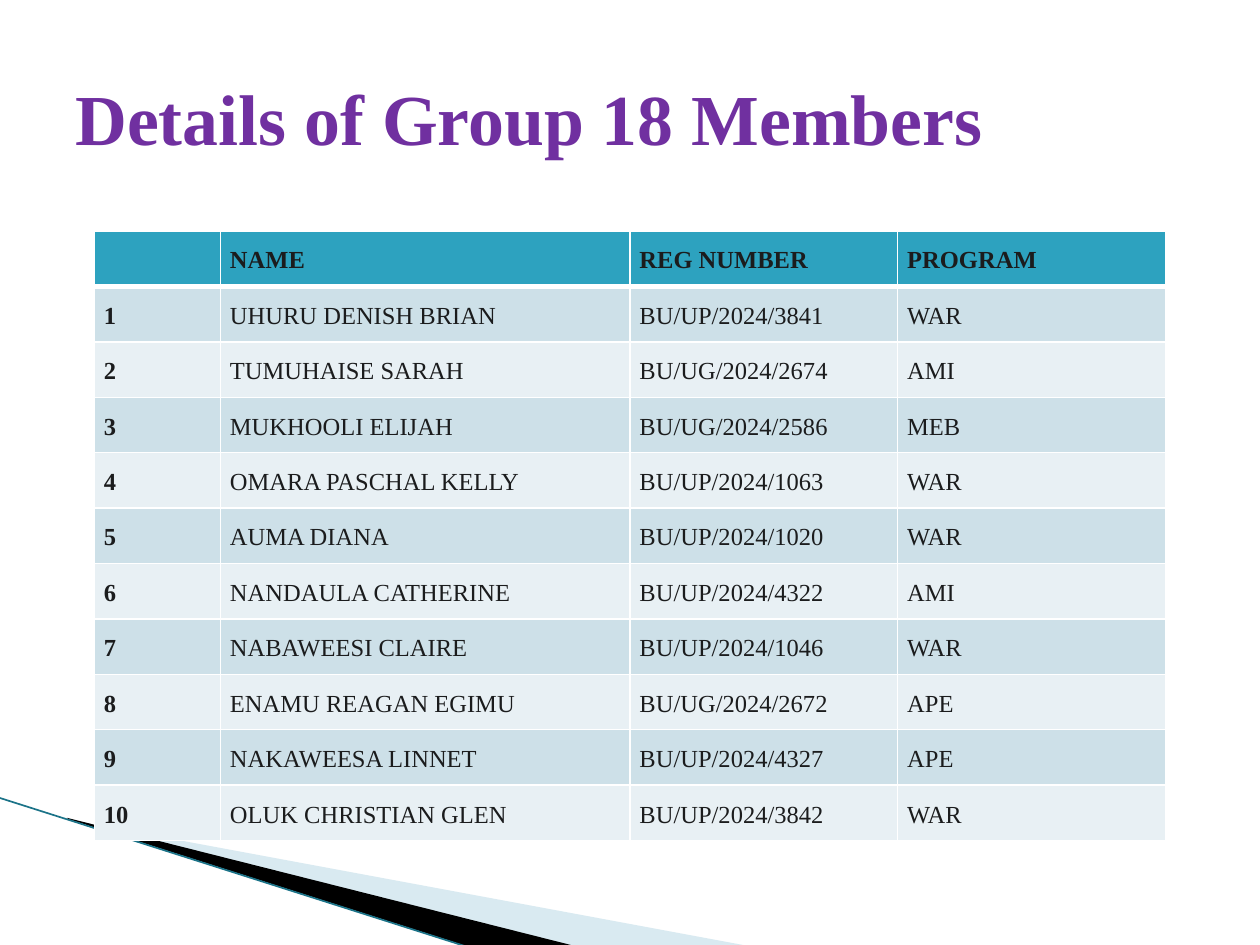
from dataclasses import dataclass

from lxml.etree import SubElement
from pptx import Presentation
from pptx.dml.color import RGBColor
from pptx.enum.shapes import MSO_CONNECTOR
from pptx.enum.text import MSO_ANCHOR
from pptx.oxml.ns import qn
from pptx.util import Pt

FONT = "Times New Roman"
HUES = {
    "title": "7030A0", "head": "2DA2BF", "odd": "CDE0E8", "even": "E8F0F4",
    "text": "1B1C1D", "rule": "FFFFFF", "pale": "A0CBDC", "dark": "000000",
    "edge": "1B7388",
}
HEADS = ("", "NAME", "REG NUMBER", "PROGRAM")
WIDTHS = (72, 234, 153, 153)
ROW = 31.68


@dataclass
class Member:
    name: str
    reg: str
    course: str


@dataclass
class Wedge:
    frame: tuple[float, float, float, float]
    points: list[tuple[float, float]]
    hue: str
    alpha: int = 100


MEMBERS = [
    Member("UHURU DENISH BRIAN", "BU/UP/2024/3841", "WAR"),
    Member("TUMUHAISE SARAH", "BU/UG/2024/2674", "AMI"),
    Member("MUKHOOLI ELIJAH", "BU/UG/2024/2586", "MEB"),
    Member("OMARA PASCHAL KELLY", "BU/UP/2024/1063", "WAR"),
    Member("AUMA DIANA", "BU/UP/2024/1020", "WAR"),
    Member("NANDAULA CATHERINE", "BU/UP/2024/4322", "AMI"),
    Member("NABAWEESI CLAIRE", "BU/UP/2024/1046", "WAR"),
    Member("ENAMU REAGAN EGIMU", "BU/UG/2024/2672", "APE"),
    Member("NAKAWEESA LINNET", "BU/UP/2024/4327", "APE"),
    Member("OLUK CHRISTIAN GLEN", "BU/UP/2024/3842", "WAR"),
]
WEDGES = [
    Wedge((56.2, 393.8, 299.5, 113.8),
          [(39.6, 468.5), (428.4, 540.7), (328.3, 540.7), (39.6, 468)], "pale", 40),
    Wedge((-4.3, 455.8, 299.5, 66.2),
          [(38.2, 467.3), (329, 540.7), (268.5, 541.2), (38.9, 468)], "dark"),
]


def tint(hue: str) -> RGBColor:
    return RGBColor.from_string(HUES[hue])


def style(para, size: float, hue: str, bold: bool) -> None:
    for run in para.runs:
        font = run.font
        font.name, font.size, font.bold = FONT, Pt(size), bold
        font.color.rgb = tint(hue)


def set_frame(shape, frame: tuple[float, float, float, float]) -> None:
    left, top, width, height = map(Pt, frame)
    right, down = shape.left - left, shape.top - top
    track = shape._element.spPr.find(".//" + qn("a:path"))
    track.set("w", str(width))
    track.set("h", str(height))
    for point in track.iter(qn("a:pt")):
        point.set("x", str(int(point.get("x")) + right))
        point.set("y", str(int(point.get("y")) + down))
    shape.left, shape.top, shape.width, shape.height = left, top, width, height


def draw_wedge(slide, wedge: Wedge) -> None:
    first, *rest = [(Pt(x), Pt(y)) for x, y in wedge.points]
    pen = slide.shapes.build_freeform(*first)
    pen.add_line_segments(rest, close=True)
    shape = pen.convert_to_shape()
    set_frame(shape, wedge.frame)
    shape.shadow.inherit = False
    shape.line.fill.background()
    shape.fill.solid()
    shape.fill.fore_color.rgb = tint(wedge.hue)
    if wedge.alpha < 100:
        color = shape.fill._xPr.find(".//" + qn("a:srgbClr"))
        SubElement(color, qn("a:alpha"), val=str(wedge.alpha * 1000))


def draw_edge(slide) -> None:
    edge = slide.shapes.add_connector(
        MSO_CONNECTOR.STRAIGHT, Pt(-0.7), Pt(455.8), Pt(267.5), Pt(541.2))
    edge.line.color.rgb = tint("edge")
    edge.line.width = Pt(0.95)
    SubElement(edge._element.spPr, qn("a:effectLst"))


def rule_cell(cell, top: float, base: float) -> None:
    props = cell._tc.get_or_add_tcPr()
    for side, width in (("L", 1), ("R", 1), ("T", top), ("B", base)):
        line = SubElement(props, qn("a:ln" + side), w=str(Pt(width)))
        fill = SubElement(line, qn("a:solidFill"))
        SubElement(fill, qn("a:srgbClr"), val=HUES["rule"])


def fill_cell(cell, text: str, row: int, col: int) -> None:
    rule_cell(cell, 3 if row == 1 else 1, 3 if row == 0 else 1)
    cell.fill.solid()
    cell.fill.fore_color.rgb = tint(
        "head" if row == 0 else "odd" if row % 2 else "even")
    cell.vertical_anchor = MSO_ANCHOR.MIDDLE
    cell.margin_left = cell.margin_right = Pt(5.4)
    cell.margin_top = cell.margin_bottom = Pt(0)
    para = cell.text_frame.paragraphs[0]
    para.text = text
    para.line_spacing = 1.14
    style(para, 14, "text", row == 0 or col == 0)


def draw_table(slide) -> None:
    rows = [HEADS] + [(str(num), who.name, who.reg, who.course)
                      for num, who in enumerate(MEMBERS, 1)]
    table = slide.shapes.add_table(
        len(rows), len(HEADS), Pt(54), Pt(132), Pt(sum(WIDTHS)),
        Pt(ROW * len(rows))).table
    for col, width in zip(table.columns, WIDTHS):
        col.width = Pt(width)
    for row, texts in enumerate(rows):
        table.rows[row].height = Pt(ROW)
        for col, text in enumerate(texts):
            fill_cell(table.cell(row, col), text, row, col)


def draw_title(slide) -> None:
    frame = slide.shapes.add_textbox(Pt(36), Pt(21.6), Pt(648), Pt(90)).text_frame
    frame.word_wrap = True
    frame.vertical_anchor = MSO_ANCHOR.MIDDLE
    frame.text = "Details of Group 18 Members"
    style(frame.paragraphs[0], 41, "title", True)


def main() -> None:
    """Build the slide that lists the members of the group."""
    deck = Presentation()
    deck.slide_width, deck.slide_height = Pt(720), Pt(540)
    slide = deck.slides.add_slide(deck.slide_layouts[6])
    for wedge in WEDGES:
        draw_wedge(slide, wedge)
    draw_edge(slide)
    draw_table(slide)
    draw_title(slide)
    deck.save("out.pptx")


if __name__ == "__main__":
    main()
